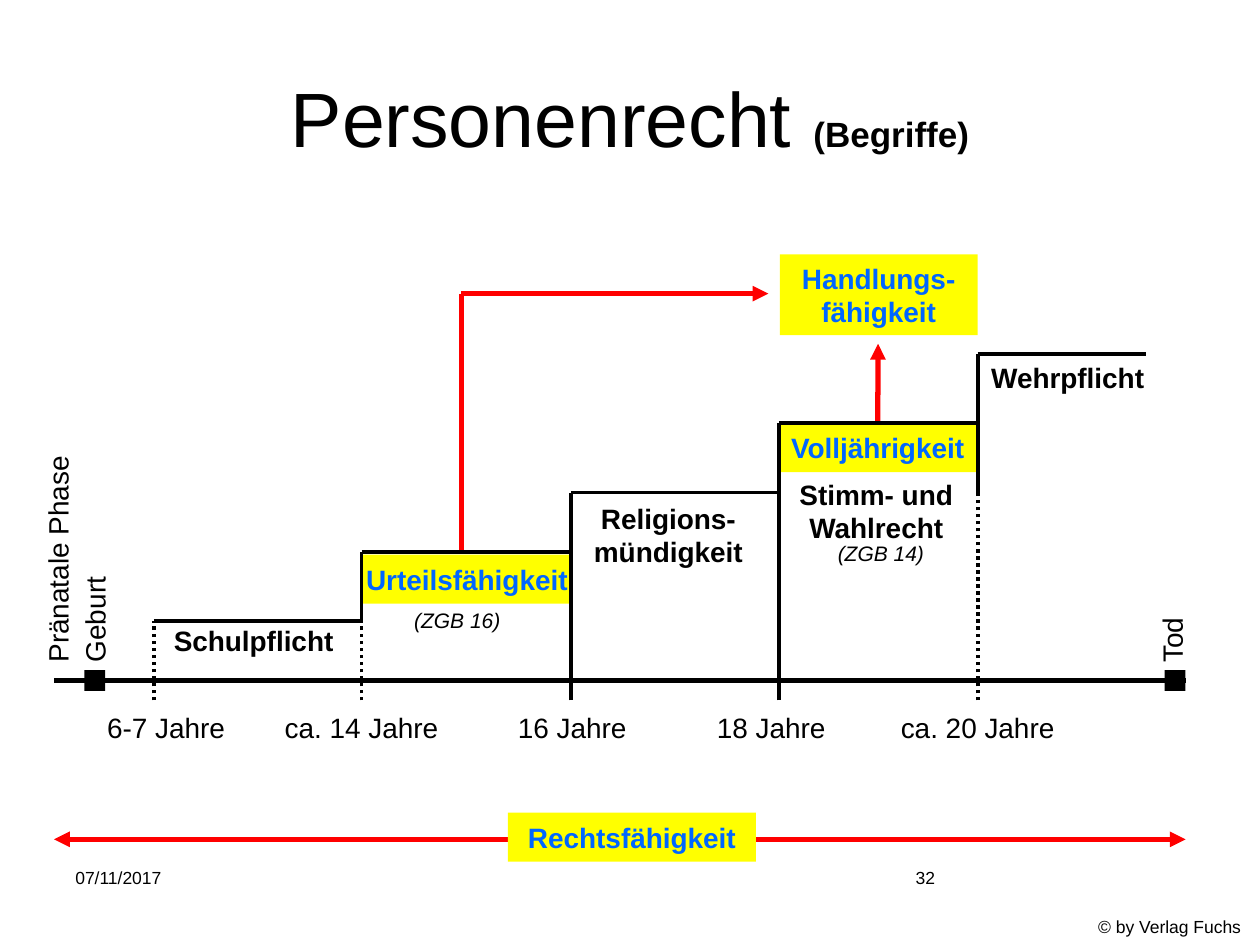
from dataclasses import dataclass

from lxml.etree import SubElement
from pptx import Presentation
from pptx.dml.color import RGBColor as RGB
from pptx.enum.dml import MSO_LINE as Dash
from pptx.enum.shapes import MSO_CONNECTOR as Wire, MSO_SHAPE as Form
from pptx.enum.text import MSO_ANCHOR as Anchor, PP_ALIGN as Align
from pptx.oxml.ns import qn
from pptx.util import Cm, Pt


@dataclass(frozen=True)
class Theme:
    """Colours, font and type sizes of the slide."""
    font: str = "Arial"
    ink: RGB = RGB(0, 0, 0)
    blue: RGB = RGB(0x00, 0x66, 0xFF)
    red: RGB = RGB(0xFF, 0, 0)
    yellow: RGB = RGB(0xFF, 0xFF, 0)
    title: int = 44
    sub: int = 20
    label: int = 16
    law: int = 12
    foot: int = 10


T = Theme()
AXIS, FOOT = 13.72, 14.12
LEFT, RIGHT = 1.09, 23.9
STEPS = [
    (3.1, 12.52, 12.52), (7.29, 11.13, 12.52), (11.51, 9.93, FOOT),
    (15.7, 8.53, FOOT), (19.71, 7.14, 9.93),
]
END = 23.11
AGES = [
    ("6-7 Jahre", 1.91, 2.9), ("ca. 14 Jahre", 5.49, 3.63), ("16 Jahre", 10.19, 2.72),
    ("18 Jahre", 14.2, 2.72), ("ca. 20 Jahre", 17.91, 3.63),
]
PHASES = [
    ("Pränatale Phase", -1.17, 10.8, 4.67), ("Geburt", 0.79, 12.01, 2.24),
    ("Tod", 22.89, 12.4, 1.47),
]
DUTIES = [
    ("Wehrpflicht", 19.71, 7.14, 3.63, 0.94), ("Schulpflicht", 3.25, 12.45, 3.73, 0.94),
    ("Religions-\nmündigkeit", 11.71, 9.98, 3.53, 1.63),
    ("Stimm- und\nWahlrecht", 15.85, 9.5, 3.63, 1.63),
]
LAWS = [("(ZGB 16)", 8.1, 12.12), ("(ZGB 14)", 16.64, 10.77)]
NOTES = [
    ("07/11/2017", 1.27, 17.35, 5.92, 1.32), ("32", 18.21, 17.35, 5.92, 1.32),
    ("© by Verlag Fuchs", 21.89, 18.34, 3.4, 0.69),
]


def add_run(par, text, size, color=T.ink, bold=False, italic=False):
    """Add one styled run to a paragraph."""
    run = par.add_run()
    run.text = text
    font = run.font
    font.name, font.size, font.color.rgb = T.font, Pt(size), color
    font.bold, font.italic = bold, italic


def fill_text(frame, text, size, align, **style):
    """Write each line of the text as its own paragraph."""
    for i, line in enumerate(text.split("\n")):
        par = frame.add_paragraph() if i else frame.paragraphs[0]
        par.alignment = align
        add_run(par, line, size, **style)


def add_label(slide, text, x, y, w, h, size=T.label, turn=0, wrap=False,
              align=Align.LEFT, **style):
    """Add a plain text box, turned if asked."""
    box = slide.shapes.add_textbox(Cm(x), Cm(y), Cm(w), Cm(h))
    box.rotation = turn
    box.text_frame.word_wrap = wrap
    fill_text(box.text_frame, text, size, align, **style)


def add_rect(slide, x, y, w, h, color):
    """Add a filled rectangle without outline or shadow."""
    rect = slide.shapes.add_shape(Form.RECTANGLE, Cm(x), Cm(y), Cm(w), Cm(h))
    rect.shadow.inherit = False
    rect.fill.solid()
    rect.fill.fore_color.rgb = color
    rect.line.fill.background()
    return rect


def add_term(slide, text, x, y, w, h=0.99):
    """Add a yellow box that holds a legal term."""
    rect = add_rect(slide, x, y, w, h, T.yellow)
    frame = rect.text_frame
    frame.word_wrap = False
    frame.vertical_anchor = Anchor.MIDDLE
    fill_text(frame, text, T.label, Align.CENTER, color=T.blue, bold=True)
    return rect


def add_line(slide, x1, y1, x2, y2, color=T.ink, width=2, dots=False, heads=()):
    """Add a straight line with optional dots and arrowheads."""
    line = slide.shapes.add_connector(Wire.STRAIGHT, Cm(x1), Cm(y1), Cm(x2), Cm(y2))
    line.line.color.rgb = color
    line.line.width = Pt(width)
    if dots:
        line.line.dash_style = Dash.ROUND_DOT
    props = line._element.spPr
    for head in heads:
        SubElement(props.find(qn("a:ln")), qn(f"a:{head}"), type="triangle")
    SubElement(props, qn("a:effectLst"))
    return line


def add_title(slide):
    """Fill the title placeholder."""
    title = slide.shapes.title
    title.left, title.top, title.width, title.height = Cm(1.27), Cm(0.76), Cm(22.86), Cm(3.18)
    title.text_frame.vertical_anchor = Anchor.MIDDLE
    par = title.text_frame.paragraphs[0]
    par.alignment = Align.CENTER
    add_run(par, "Personenrecht ", T.title)
    add_run(par, "(Begriffe)", T.sub, bold=True)


def add_axis(slide):
    """Draw the life line from before birth to death."""
    side = 0.42
    axis = add_line(slide, LEFT, AXIS, RIGHT, AXIS, width=3)
    for x in (1.7, RIGHT - side):
        mark = add_rect(slide, x, AXIS - side / 2, side, side, T.ink)
    axis.end_connect(mark, 3)
    for text, x, w in AGES:
        add_label(slide, text, x, 14.2, w, 0.94)
    for text, x, y, w in PHASES:
        add_label(slide, text, x, y, w, 0.94, turn=270)


def add_stairs(slide):
    """Draw each step with its riser, dotted below its solid part."""
    ends = [x for x, _, _ in STEPS[1:]] + [END]
    for (x, top, base), end in zip(STEPS, ends):
        if base < FOOT:
            add_line(slide, x, FOOT, x, base, dots=True)
        if base > top:
            add_line(slide, x, base, x, top)
        add_line(slide, x, top, end, top)


def add_terms(slide):
    """Add the yellow terms and the red arrows between them."""
    adult = add_term(slide, "Volljährigkeit", 15.7, 8.53, 3.99)
    add_term(slide, "Urteilsfähigkeit", 7.32, 11.18, 4.19)
    add_term(slide, "Handlungs-\nfähigkeit", 15.72, 5.13, 3.99, 1.63)
    red = {"color": T.red, "width": 3}
    add_line(slide, 9.3, 11.13, 9.3, 5.92, **red)
    add_line(slide, 9.3, 5.92, 15.49, 5.92, heads=["tailEnd"], **red)
    rise = add_line(slide, 17.7, 8.53, 17.7, 6.93, heads=["tailEnd"], **red)
    rise.begin_connect(adult, 0)
    add_line(slide, LEFT, 16.92, RIGHT, 16.92, heads=["headEnd", "tailEnd"], **red)
    add_term(slide, "Rechtsfähigkeit", 10.24, 16.38, 5)


def main():
    """Build and save the slide."""
    deck = Presentation()
    deck.slide_width, deck.slide_height = Cm(25.4), Cm(19.05)
    slide = deck.slides.add_slide(deck.slide_layouts[5])
    add_title(slide)
    add_axis(slide)
    add_terms(slide)
    add_stairs(slide)
    for text, *place in DUTIES:
        add_label(slide, text, *place, align=Align.CENTER, bold=True)
    for text, x, y in LAWS:
        add_label(slide, text, x, y, 2.26, 0.76, size=T.law, italic=True)
    for text, *place in NOTES:
        add_label(slide, text, *place, size=T.foot, wrap=True)
    deck.save("out.pptx")


if __name__ == "__main__":
    main()
